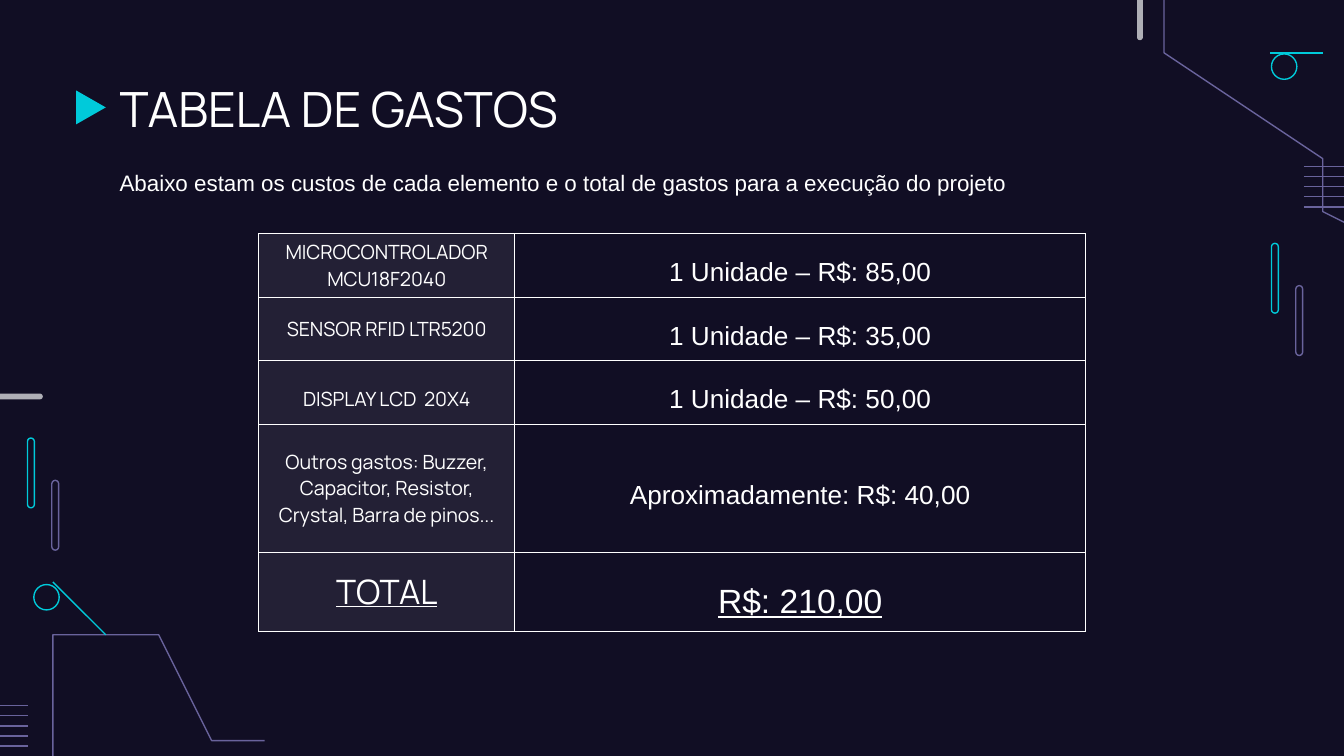
import pptx
import pptx.dml.color
import pptx.enum.shapes
import pptx.enum.text
import pptx.oxml
import pptx.oxml.ns
import pptx.util
from lxml import etree

Cm = pptx.util.Cm
Pt = pptx.util.Pt
SHAPES = pptx.enum.shapes.MSO_SHAPE
ALIGN = pptx.enum.text.PP_ALIGN
ANCHOR = pptx.enum.text.MSO_ANCHOR
qn = pptx.oxml.ns.qn

BACKGROUND = "110E24"
WHITE = "FFFFFF"
CYAN = "00CADA"
PURPLE = "69639C"
GREY = "AFAFB6"
HEADING_FONT = "Manrope"
BODY_FONT = "Arial"
LINE_WIDTH = Pt(0.75)

ROW_HEIGHTS = [1.2, 1.2, 1.2, 2.42, 1.5]
COLUMN_WIDTHS = [4.84, 10.79]
COSTS = [
    ("MICROCONTROLADOR MCU18F2040", "1 Unidade – R$: 85,00"),
    ("SENSOR RFID LTR5200", "1 Unidade – R$: 35,00"),
    ("DISPLAY LCD  20X4", "1 Unidade – R$: 50,00"),
    ("Outros gastos: Buzzer, Capacitor, Resistor, Crystal, Barra de pinos...",
     "Aproximadamente: R$: 40,00"),
    ("TOTAL", "R$: 210,00"),
]


def rgb(color):
    return pptx.dml.color.RGBColor.from_string(color)


def set_line(shape, color):
    shape.line.color.rgb = rgb(color)
    shape.line.width = LINE_WIDTH


def add_preset(slide, kind, left, top, width, height, fill=None, line=None):
    shape = slide.shapes.add_shape(kind, Cm(left), Cm(top), Cm(width), Cm(height))
    shape.shadow.inherit = False
    if fill:
        shape.fill.solid()
        shape.fill.fore_color.rgb = rgb(fill)
    else:
        shape.fill.background()
    if line:
        set_line(shape, line)
    else:
        shape.line.fill.background()
    return shape


def add_capsule(slide, left, top, width, height, **colors):
    capsule = add_preset(slide, SHAPES.ROUNDED_RECTANGLE, left, top, width, height, **colors)
    capsule.adjustments[0] = 0.5


def add_capsule_pair(slide, left, top):
    for index, color in enumerate((CYAN, PURPLE)):
        add_capsule(slide, left + 0.46 * index, top + 0.8 * index, 0.13, 1.32, line=color)


def add_polyline(slide, points, color):
    builder = slide.shapes.build_freeform(*points[0], scale=Cm(1))
    builder.add_line_segments(points[1:], close=False)
    shape = builder.convert_to_shape()
    shape.shadow.inherit = False
    shape.fill.background()
    set_line(shape, color)


def add_stripes(slide, left, top):
    for index in range(5):
        y = Cm(top + 0.19 * index)
        stripe = slide.shapes.add_connector(
            pptx.enum.shapes.MSO_CONNECTOR.STRAIGHT, Cm(left), y, Cm(left + 2.69), y)
        set_line(stripe, PURPLE)
        etree.SubElement(stripe.element.spPr, qn("a:effectLst"))


def add_circuit(slide, trace, branch, node, stripes):
    add_stripes(slide, *stripes)
    add_polyline(slide, trace, PURPLE)
    add_polyline(slide, branch, CYAN)
    add_preset(slide, SHAPES.OVAL, *node, 0.48, 0.48, line=CYAN)


def format_paragraph(paragraph, font, size, align=ALIGN.LEFT, underline=None):
    paragraph.alignment = align
    paragraph.font.name = font
    paragraph.font.size = Pt(size)
    paragraph.font.color.rgb = rgb(WHITE)
    paragraph.font.underline = underline


def fill_placeholder(shape, text, top, height, font, size, anchor):
    shape.left, shape.top, shape.width, shape.height = Cm(2.01), Cm(top), Cm(21.41), Cm(height)
    frame = shape.text_frame
    frame.text = text
    frame.word_wrap = True
    frame.auto_size = pptx.enum.text.MSO_AUTO_SIZE.NONE
    frame.vertical_anchor = anchor
    frame.margin_left = frame.margin_right = frame.margin_top = frame.margin_bottom = Cm(0.25)
    paragraph = frame.paragraphs[0]
    properties = paragraph._p.get_or_add_pPr()
    properties.set("marL", "0")
    properties.set("indent", "0")
    etree.SubElement(properties, qn("a:buNone"))
    paragraph.space_before = Pt(0)
    format_paragraph(paragraph, font, size)


def add_borders(cell):
    properties = cell._tc.get_or_add_tcPr()
    for side in ("lnL", "lnR", "lnT", "lnB"):
        border = etree.SubElement(properties, qn(f"a:{side}"), w=str(LINE_WIDTH))
        fill = etree.SubElement(border, qn("a:solidFill"))
        etree.SubElement(fill, qn("a:srgbClr"), val=WHITE)


def format_cell(cell, text, font, size, underline):
    cell.text = text
    cell.vertical_anchor = ANCHOR.MIDDLE
    cell.margin_left = cell.margin_right = Cm(0.25)
    cell.margin_top = cell.margin_bottom = 0
    add_borders(cell)
    format_paragraph(cell.text_frame.paragraphs[0], font, size, ALIGN.CENTER, underline)


def tint_cell(cell):
    cell.fill.solid()
    cell.fill.fore_color.rgb = rgb(WHITE)
    color = cell._tc.tcPr.find(qn("a:solidFill")).find(qn("a:srgbClr"))
    etree.SubElement(color, qn("a:alpha"), val="8000")


def add_cost_table(slide):
    table = slide.shapes.add_table(
        len(COSTS), 2, Cm(4.89), Cm(4.42),
        Cm(sum(COLUMN_WIDTHS)), Cm(sum(ROW_HEIGHTS))).table
    table.first_row = table.horz_banding = False
    for column, width in zip(table.columns, COLUMN_WIDTHS):
        column.width = Cm(width)
    for index, (item, cost) in enumerate(COSTS):
        table.rows[index].height = Cm(ROW_HEIGHTS[index])
        item_cell, cost_cell = table.rows[index].cells
        total = item == "TOTAL"
        format_cell(item_cell, item, HEADING_FONT, 18 if total else 10.5, total)
        format_cell(cost_cell, cost, BODY_FONT, 18 if total else 14, total)
        tint_cell(item_cell)
        cost_cell.fill.background()
        cost_paragraph = cost_cell.text_frame.paragraphs[0]
        cost_paragraph.line_spacing = 1.5
        if index < 3:
            cost_paragraph.space_after = Pt(16)
        if item.startswith("DISPLAY"):
            item_cell.text_frame.paragraphs[0].line_spacing = 1.5


def add_decoration(slide):
    add_capsule_pair(slide, 24.03, 4.6)
    add_capsule_pair(slide, 0.52, 8.28)
    add_circuit(
        slide,
        trace=[(22.48, -0.91), (22.48, 0.56), (24.64, 2.72), (24.64, 4.22),
               (26.57, 5.33), (26.44, 5.56)],
        branch=[(24.43, 1.07), (24.99, 0.51), (25.4, 0.51)],
        node=(24.03, 1.02), stripes=(24.64, 3.15))
    add_circuit(
        slide,
        trace=[(4.65, 13.69), (3.94, 13.69), (2.67, 12.42), (1.3, 12.42),
               (0.56, 13.16), (0.56, 14.83), (-3.28, 14.83)],
        branch=[(1.07, 11.46), (1.63, 12.01), (1.63, 12.42)],
        node=(0.64, 11.05), stripes=(-2.16, 13.34))
    add_capsule(slide, 21.49, -0.46, 0.11, 1.22, fill=GREY)
    add_capsule(slide, -0.41, 7.44, 1.22, 0.11, fill=GREY)
    marker = add_preset(slide, SHAPES.FLOWCHART_MERGE, 1.4, 1.75, 0.64, 0.56, fill=CYAN)
    marker.rotation = 270


def main():
    presentation = pptx.Presentation()
    presentation.slide_width = Cm(25.4)
    presentation.slide_height = Cm(14.29)
    slide = presentation.slides.add_slide(presentation.slide_layouts[1])
    slide.background.fill.solid()
    slide.background.fill.fore_color.rgb = rgb(BACKGROUND)
    add_decoration(slide)
    fill_placeholder(slide.shapes.title, "TABELA DE GASTOS",
                     1.24, 1.6, HEADING_FONT, 26, ANCHOR.MIDDLE)
    fill_placeholder(
        slide.placeholders[1],
        "Abaixo estam os custos de cada elemento e o total de gastos para a execução do projeto",
        2.95, 1.17, BODY_FONT, 12, ANCHOR.TOP)
    add_cost_table(slide)
    presentation.save("out.pptx")


if __name__ == "__main__":
    main()
